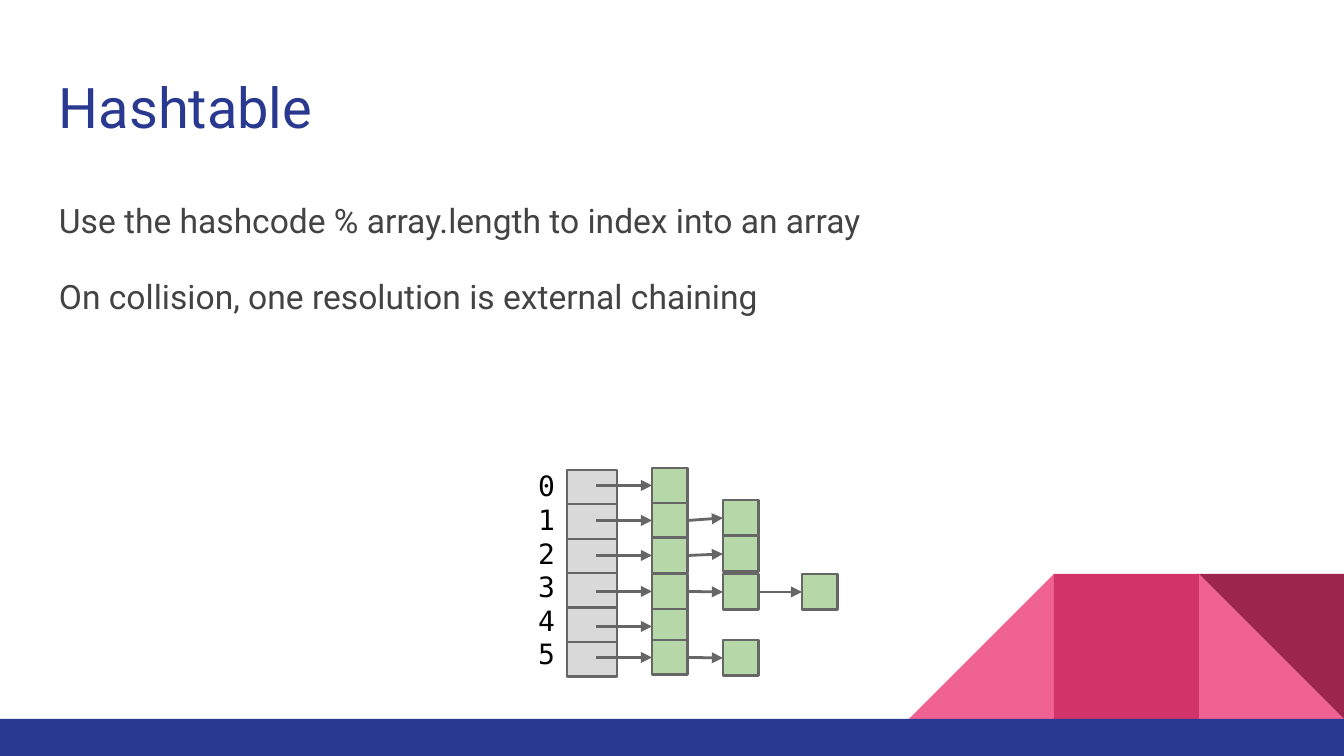
from lxml.etree import SubElement
from pptx import Presentation
from pptx.dml.color import RGBColor
from pptx.enum.shapes import MSO_CONNECTOR as Conn, MSO_SHAPE as Shape
from pptx.enum.text import PP_ALIGN as Align
from pptx.oxml.ns import qn
from pptx.util import Pt

SCALE = 914400 / 134.4

BLUE = RGBColor(0x2A, 0x39, 0x90)
PINK = RGBColor(0xF0, 0x62, 0x92)
ROSE = RGBColor(0xD2, 0x33, 0x69)
WINE = RGBColor(0x9C, 0x25, 0x4D)
DARK = RGBColor(0x43, 0x43, 0x43)
BLACK = RGBColor(0, 0, 0)
EDGE = RGBColor(0x66, 0x66, 0x66)
GREY = RGBColor(0xD9, 0xD9, 0xD9)
GREEN = RGBColor(0xB6, 0xD7, 0xA8)

SLOTS = 6
SLOT_TOP = 470
SLOT_STEP = 34.4
CHAINS = [
    (652, 35, {0: 468, 1: 503, 2: 538, 3: 574, 4: 609, 5: 640}),
    (723, 36, {1: 500, 2: 536, 3: 574, 5: 640}),
    (802, 36, {3: 574}),
]


def px(n):
    return round(n * SCALE)


def add_block(slide, kind, box, fill, edge=None):
    block = slide.shapes.add_shape(kind, *map(px, box))
    block.shadow.inherit = False
    block.fill.solid()
    block.fill.fore_color.rgb = fill
    if edge is None:
        block.line.fill.background()
    else:
        block.line.color.rgb = edge
        block.line.width = Pt(1.5)
    return block


def add_text(slide, box, lines, font, size, color, align=Align.LEFT):
    frame = slide.shapes.add_textbox(*map(px, box)).text_frame
    frame.word_wrap = True
    frame.margin_left = frame.margin_right = px(13)
    frame.margin_top = frame.margin_bottom = px(13)
    frame.text = "\n".join(lines)
    for para in frame.paragraphs:
        para.alignment = align
        run = para.runs[0].font
        run.name = font
        run.size = Pt(size)
        run.color.rgb = color
    return frame.paragraphs


def add_arrow(slide, node, prior=None):
    mid = node.top + node.height // 2
    arrow = slide.shapes.add_connector(
        Conn.STRAIGHT, px(596), mid, node.left, mid)
    if prior is not None:
        arrow.begin_connect(prior, 3)
    arrow.end_connect(node, 1)
    arrow.line.color.rgb = EDGE
    arrow.line.width = Pt(1.5)
    SubElement(arrow.line._get_or_add_ln(), qn("a:tailEnd"), type="triangle")
    SubElement(arrow._element.spPr, qn("a:effectLst"))


def add_decor(slide):
    left, mid, right = ((x, 574, 145, 145) for x in (909, 1054, 1199))
    add_block(slide, Shape.RIGHT_TRIANGLE, right, PINK)
    slope = add_block(slide, Shape.RIGHT_TRIANGLE, left, PINK)
    slope._element.spPr.xfrm.set("flipH", "1")
    add_block(slide, Shape.RECTANGLE, mid, ROSE)
    add_block(slide, Shape.RIGHT_TRIANGLE, right, WINE).rotation = 180
    add_block(slide, Shape.RECTANGLE, (0, 719, 1344, 37), BLUE)


def add_table(slide):
    for i in range(SLOTS):
        top = round(SLOT_TOP + i * SLOT_STEP)
        add_block(slide, Shape.RECTANGLE, (567, top, 50, 35), GREY, EDGE)
    last = {}
    for left, high, tops in CHAINS:
        for row, top in tops.items():
            node = add_block(slide, Shape.RECTANGLE,
                             (left, top, 36, high), GREEN, EDGE)
            add_arrow(slide, node, last.get(row))
            last[row] = node
    marks = add_text(slide, (525, 456, 43, 219), map(str, range(SLOTS)),
                     "DejaVu Sans Mono", 15, BLACK, Align.RIGHT)
    for mark in marks:
        mark.line_spacing = Pt(18)


def main():
    deck = Presentation()
    deck.slide_width = px(1344)
    deck.slide_height = px(756)
    slide = deck.slides.add_slide(deck.slide_layouts[6])
    add_decor(slide)
    add_text(slide, (46, 60, 1253, 89), ["Hashtable"], "Roboto", 30, BLUE)
    body = add_text(slide, (46, 181, 1253, 199), [
        "Use the hashcode % array.length to index into an array",
        "On collision, one resolution is external chaining",
    ], "Roboto", 18, DARK)
    for para in body:
        para.line_spacing = 1.15
    body[1].space_before = body[1].space_after = Pt(16)
    add_table(slide)
    deck.save("out.pptx")


if __name__ == "__main__":
    main()
